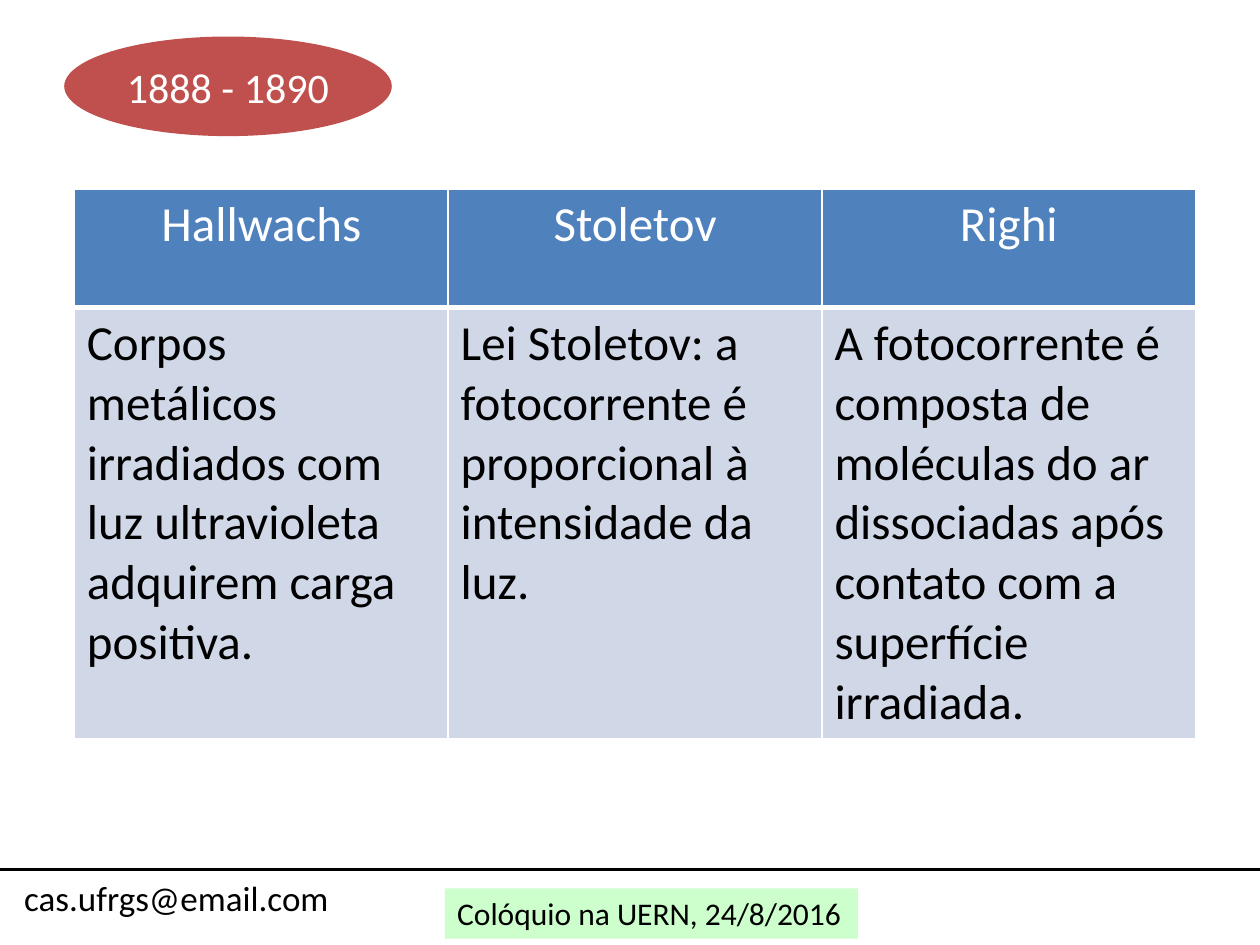
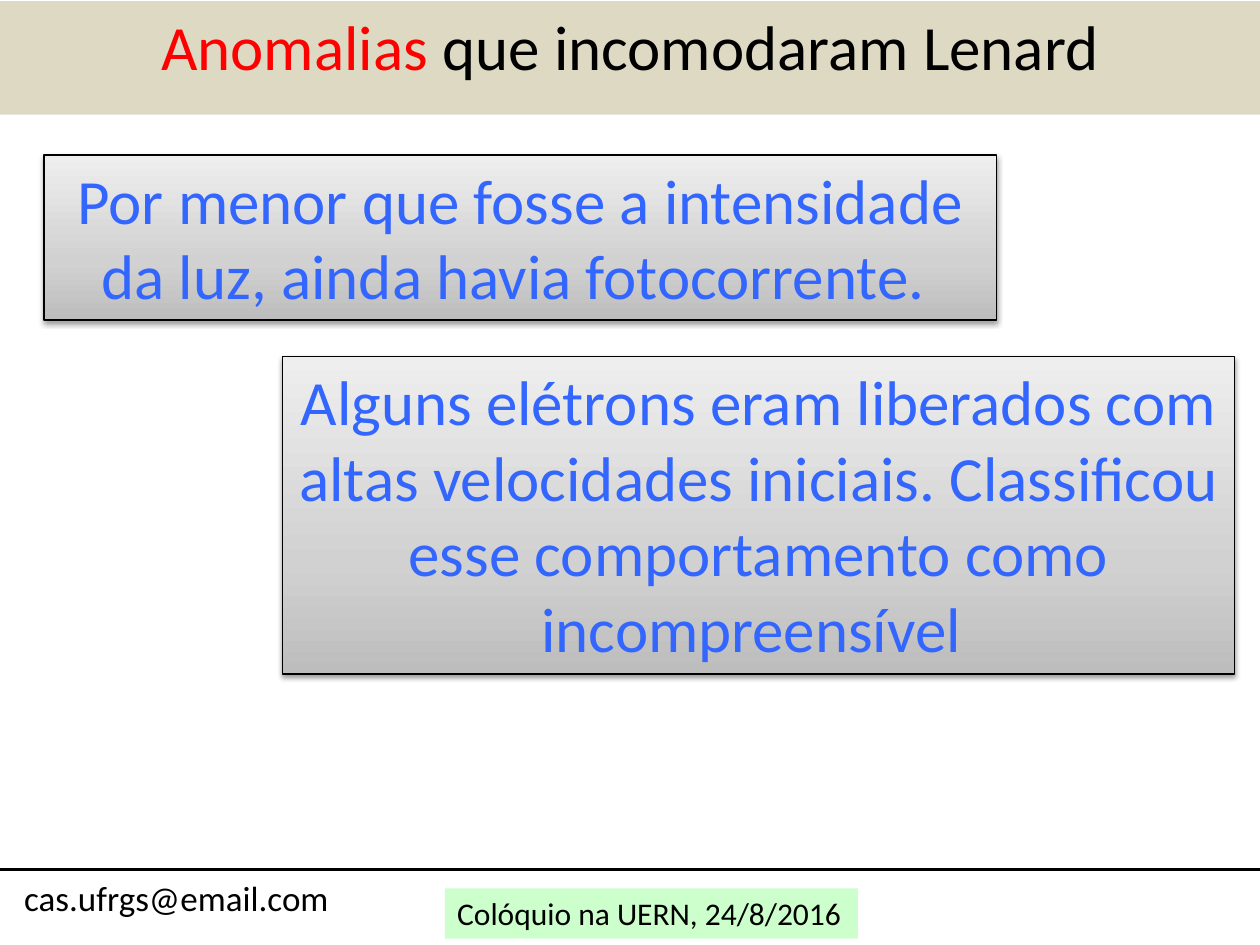
"""Builds two slides on the early history of the photoelectric effect."""
import dataclasses

import lxml.etree
import pptx
import pptx.dml.color
import pptx.enum.shapes
import pptx.enum.text
import pptx.oxml
import pptx.oxml.ns
import pptx.util

Inches = pptx.util.Inches
Pt = pptx.util.Pt
Align = pptx.enum.text.PP_ALIGN
Anchor = pptx.enum.text.MSO_ANCHOR
Shapes = pptx.enum.shapes.MSO_SHAPE
qn = pptx.oxml.ns.qn


@dataclasses.dataclass(frozen=True)
class Theme:
    """Colours, type sizes and font shared by the slides."""
    font: str = "Calibri"
    black: str = "000000"
    white: str = "FFFFFF"
    ribbon: str = "CCFFCC"
    title_band: str = "DDD9C3"
    highlight: str = "FF0000"
    period: str = "C0504D"
    table_head: str = "4F81BD"
    table_body: str = "D0D8E8"
    anomaly: str = "3366FF"
    gradient: tuple = ((0, "BDBDBD"), (35, "D1D1D1"), (100, "EEEEEE"))
    ribbon_size: int = 18
    contact_size: int = 20
    period_size: int = 24
    table_size: int = 28
    title_size: int = 36


THEME = Theme()


def rgb(value):
    """Return a colour object for a hexadecimal value."""
    return pptx.dml.color.RGBColor.from_string(value)


def apply_format(target, values):
    """Set each named attribute of the target."""
    for name, value in values.items():
        setattr(target, name, value)


def paint(target, color):
    """Give the target a solid fill."""
    target.fill.solid()
    target.fill.fore_color.rgb = rgb(color)


def write_paragraph(paragraph, runs, size, alignment):
    """Write (text, colour) runs into a paragraph."""
    paragraph.alignment = alignment
    for text, color in runs:
        run = paragraph.add_run()
        run.text = text
        apply_format(run.font, {"name": THEME.font, "size": Pt(size), "bold": False})
        run.font.color.rgb = rgb(color)


def write_frame(frame, runs, size, alignment=Align.CENTER, anchor=Anchor.TOP, wrap=True):
    """Format a text frame and write its single paragraph."""
    apply_format(frame, {
        "auto_size": pptx.enum.text.MSO_AUTO_SIZE.NONE,
        "word_wrap": wrap,
        "vertical_anchor": anchor,
    })
    write_paragraph(frame.paragraphs[0], runs, size, alignment)


def add_filled_shape(slide, kind, box, color):
    """Add a flat shape without outline or shadow."""
    shape = slide.shapes.add_shape(kind, *map(Inches, box))
    shape.shadow.inherit = False
    paint(shape, color)
    shape.line.fill.background()
    return shape


def add_footer(slide):
    """Add the event ribbon, the contact address and the rule above them."""
    ribbon = add_filled_shape(slide, Shapes.RECTANGLE, (3.53, 7.05, 3.28, 0.4), THEME.ribbon)
    write_frame(ribbon.text_frame, [("Colóquio na UERN, 24/8/2016", THEME.black)],
                THEME.ribbon_size, Align.LEFT, wrap=False)
    contact = slide.shapes.add_textbox(*map(Inches, (0, 6.74, 2.8, 0.76)))
    write_frame(contact.text_frame, [("cas.ufrgs@email.com", THEME.black)],
                THEME.contact_size, anchor=Anchor.MIDDLE)
    rule = slide.shapes.add_connector(pptx.enum.shapes.MSO_CONNECTOR.STRAIGHT,
                                      *map(Inches, (0, 6.9, 10, 6.9)))
    rule.line.color.rgb = rgb(THEME.black)
    rule.line.width = Pt(2)
    lxml.etree.SubElement(rule._element.spPr, qn("a:effectLst"))


def add_period(slide, text):
    """Add the ellipse that names the period."""
    ellipse = add_filled_shape(slide, Shapes.OVAL, (0.51, 0.29, 2.6, 0.79), THEME.period)
    write_frame(ellipse.text_frame, [(text, THEME.white)], THEME.period_size,
                anchor=Anchor.MIDDLE)


def set_borders(cell, widths):
    """Draw white borders of the given widths in points, keyed by side."""
    properties = cell._tc.get_or_add_tcPr()
    for position, (side, width) in enumerate(widths.items()):
        border = lxml.etree.Element(qn(f"a:ln{side}"), w=str(Pt(width)))
        fill = lxml.etree.SubElement(border, qn("a:solidFill"))
        lxml.etree.SubElement(fill, qn("a:srgbClr"), val=THEME.white)
        properties.insert(position, border)


def fill_cell(cell, paragraphs, color, fill, alignment, borders):
    """Write the paragraphs of a table cell and set its look."""
    paint(cell, fill)
    set_borders(cell, borders)
    frame = cell.text_frame
    for index, text in enumerate(paragraphs):
        paragraph = frame.add_paragraph() if index else frame.paragraphs[0]
        write_paragraph(paragraph, [(text, color)], THEME.table_size, alignment)


def add_findings_table(slide, findings):
    """Add a table with one column for each researcher."""
    box = map(Inches, (0.59, 1.5, 8.9, 4.3))
    table = slide.shapes.add_table(2, len(findings), *box).table
    for row, height in zip(table.rows, (0.94, 3.36)):
        row.height = Inches(height)
    for column, (name, paragraphs) in enumerate(findings.items()):
        fill_cell(table.cell(0, column), [name], THEME.white, THEME.table_head,
                  Align.CENTER, {"L": 1, "R": 1, "T": 1, "B": 3})
        fill_cell(table.cell(1, column), paragraphs, THEME.black, THEME.table_body,
                  Align.LEFT, {"L": 1, "R": 1, "T": 3, "B": 1})


def set_title(slide, runs):
    """Turn the title placeholder into the band across the top."""
    title = slide.shapes.title
    apply_format(title, dict(zip(("left", "top", "width", "height"),
                                 map(Inches, (0, 0.01, 10, 0.9)))))
    paint(title, THEME.title_band)
    write_frame(title.text_frame, runs, THEME.title_size)


def set_gradient(shape):
    """Fill the shape with grey that lightens upwards."""
    shape.fill.gradient()
    gradient = shape._element.spPr.find(qn("a:gradFill"))
    gradient.clear()
    gradient.set("rotWithShape", "1")
    stops = lxml.etree.SubElement(gradient, qn("a:gsLst"))
    for position, color in THEME.gradient:
        stop = lxml.etree.SubElement(stops, qn("a:gs"), pos=str(position * 1000))
        lxml.etree.SubElement(stop, qn("a:srgbClr"), val=color)
    lxml.etree.SubElement(gradient, qn("a:lin"), ang=str(270 * 60000), scaled="0")


def set_shadow(shape):
    """Give the shape a soft shadow below it."""
    shape.shadow.inherit = False
    effects = shape._element.spPr.find(qn("a:effectLst"))
    shadow = lxml.etree.SubElement(effects, qn("a:outerShdw"), blurRad=str(Pt(3.1)),
                                   dist=str(Pt(1.6)), dir=str(90 * 60000), rotWithShape="0")
    color = lxml.etree.SubElement(shadow, qn("a:srgbClr"), val=THEME.black)
    lxml.etree.SubElement(color, qn("a:alpha"), val="38000")


def add_anomaly(slide, left, top, height, text):
    """Add a shaded panel that states an anomaly."""
    panel = slide.shapes.add_shape(Shapes.RECTANGLE, *map(Inches, (left, top, 7.56, height)))
    set_gradient(panel)
    panel.line.color.rgb = rgb(THEME.black)
    panel.line.width = Pt(0.75)
    set_shadow(panel)
    write_frame(panel.text_frame, [(text, THEME.anomaly)], THEME.title_size)


def build_findings_slide(presentation):
    """Build the slide on the work of 1888 to 1890."""
    slide = presentation.slides.add_slide(presentation.slide_layouts.get_by_name("Blank"))
    add_footer(slide)
    add_findings_table(slide, {
        "Hallwachs": ["Corpos", "metálicos irradiados com luz ultravioleta "
                      "adquirem carga positiva."],
        "Stoletov": ["Lei Stoletov: a fotocorrente é proporcional à intensidade da luz."],
        "Righi": ["A fotocorrente é composta de moléculas do ar dissociadas após "
                  "contato com a superfície irradiada."],
    })
    add_period(slide, "1888 - 1890")


def build_anomalies_slide(presentation):
    """Build the slide on the anomalies seen by Lenard."""
    slide = presentation.slides.add_slide(presentation.slide_layouts.get_by_name("Title Only"))
    add_footer(slide)
    set_title(slide, [("Anomalias ", THEME.highlight),
                      ("que incomodaram Lenard", THEME.black)])
    add_anomaly(slide, 0.35, 1.23, 1.31,
                "Por menor que fosse a intensidade da luz, ainda havia fotocorrente. ")
    add_anomaly(slide, 2.24, 2.83, 2.52,
                "Alguns elétrons eram liberados com altas velocidades iniciais. "
                "Classificou esse comportamento como incompreensível ")


def main():
    """Build and save the presentation."""
    presentation = pptx.Presentation()
    apply_format(presentation, {"slide_width": Inches(10), "slide_height": Inches(7.5)})
    build_findings_slide(presentation)
    build_anomalies_slide(presentation)
    presentation.save("out.pptx")


if __name__ == "__main__":
    main()
